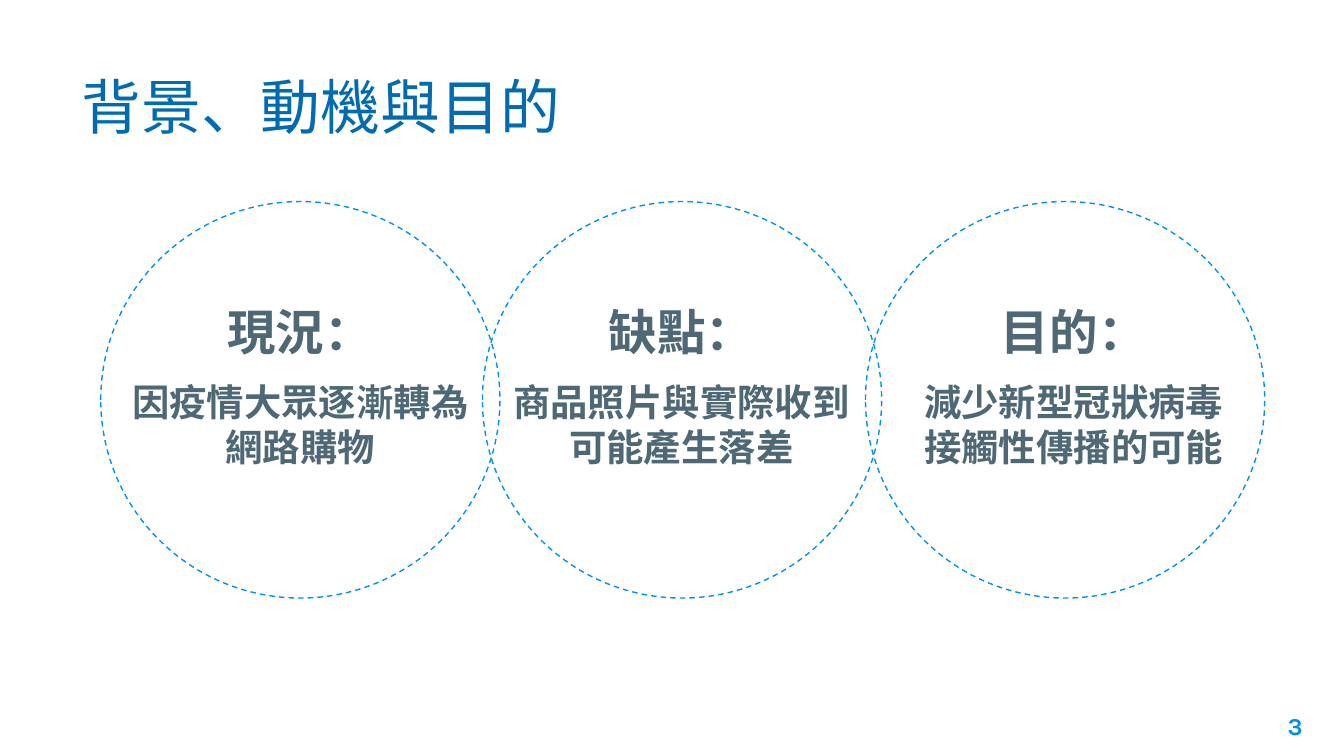
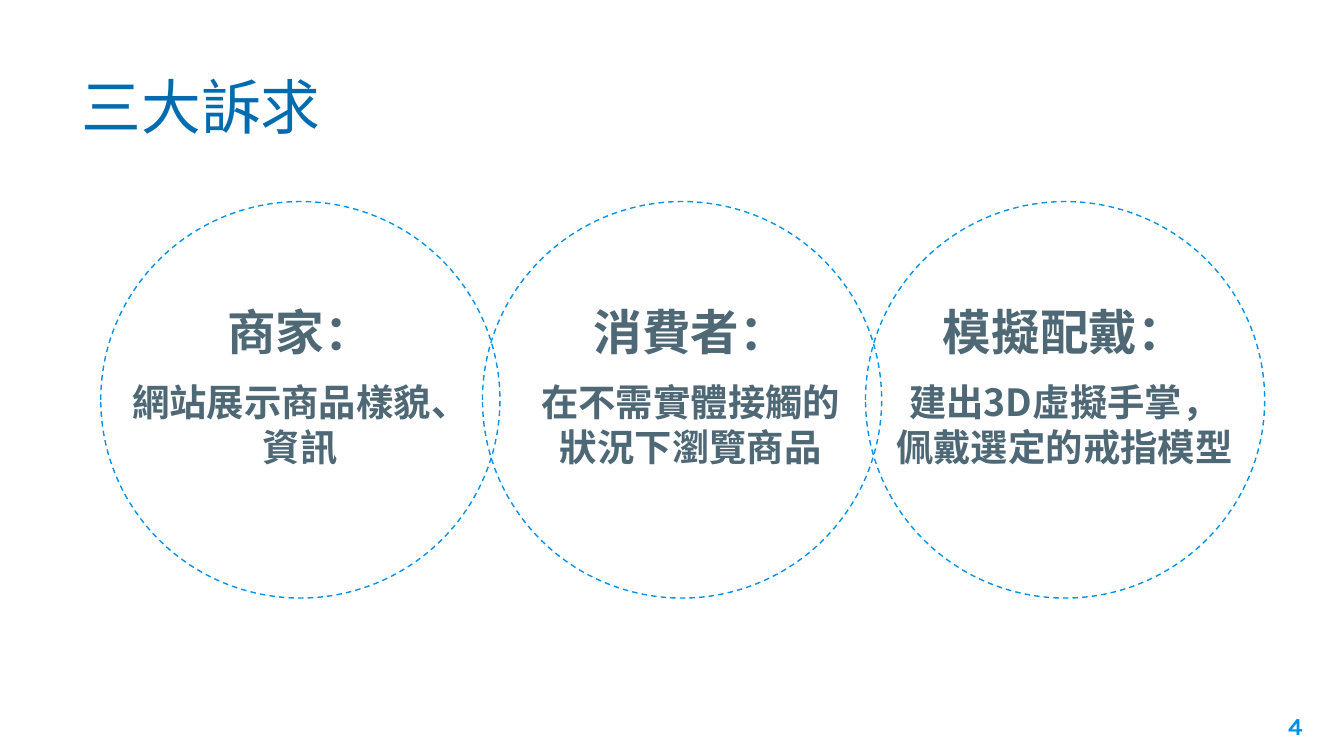
"""Builds two slides, each with a title and three overlapping dashed circles of text."""
from lxml import etree
from pptx import Presentation
from pptx import util as u
from pptx.dml.color import RGBColor
from pptx.enum import dml, shapes, text
from pptx.oxml.ns import qn

BLUE, TITLE_BLUE, SLATE = "0091EA", "006CAF", "4E6876"
CJK, LATIN = "Noto Sans CJK TC", "Karla"
CIRCLE_LEFTS = (0.75, 3.59, 6.44)
CIRCLE_TOP, CIRCLE_WIDTH, CIRCLE_HEIGHT = 1.5, 2.97, 2.95
TOPIC_TOP, TOPIC_HEIGHT = 2.15, 1.45

SLIDES = [
    {
        "number": 3,
        "title": "背景、動機與目的",
        "topics": [
            (0.37, 3.73, "現況：", ["因疫情大眾逐漸轉為", "網路購物"]),
            (3.68, 2.78, "缺點：", ["商品照片與實際收到可能產生落差"]),
            (6.35, 3.28, "目的：", ["減少新型冠狀病毒", "接觸性傳播的可能"]),
        ],
    },
    {
        "number": 4,
        "title": "三大訴求",
        "topics": [
            (0.37, 3.73, "商家：", ["網站展示商品樣貌、", "資訊"]),
            (3.5, 3.28, "消費者：", ["在不需實體接觸的", "狀況下瀏覽商品"]),
            (6.28, 3.28, "模擬配戴：", ["建出3D虛擬手掌，", "佩戴選定的戒指模型"]),
        ],
    },
]


def color(value):
    return RGBColor.from_string(value)


def add_text(slide, box, lines, ink, face=CJK, bold=False,
             align=text.PP_ALIGN.LEFT, anchor=text.MSO_ANCHOR.TOP):
    frame = slide.shapes.add_textbox(*map(u.Inches, box)).text_frame
    frame.word_wrap = True
    frame.vertical_anchor = anchor
    frame.margin_left = frame.margin_right = u.Inches(0.1)
    frame.margin_top = frame.margin_bottom = u.Inches(0.1)
    for index, (words, size, space) in enumerate(lines):
        line = frame.add_paragraph() if index else frame.paragraphs[0]
        line.text = words
        line.alignment = align
        line.space_before = u.Pt(space)
        line.font.size = u.Pt(size)
        line.font.bold = bold
        line.font.color.rgb = color(ink)
        line.font.name = face
        defaults = line._p.pPr.find(qn("a:defRPr"))
        etree.SubElement(defaults, qn("a:ea"), typeface=face)


def add_circle(slide, left):
    circle = slide.shapes.add_shape(
        shapes.MSO_SHAPE.OVAL, u.Inches(left), u.Inches(CIRCLE_TOP),
        u.Inches(CIRCLE_WIDTH), u.Inches(CIRCLE_HEIGHT))
    circle.shadow.inherit = False
    circle.fill.background()
    circle.line.color.rgb = color(BLUE)
    circle.line.width = u.Pt(0.75)
    circle.line.dash_style = dml.MSO_LINE.DASH


def add_topic(slide, left, width, heading, details):
    lines = [(heading, 26, 0)]
    lines += [(detail, 20, 0 if index else 10) for index, detail in enumerate(details)]
    add_text(slide, (left, TOPIC_TOP, width, TOPIC_HEIGHT), lines, SLATE,
             bold=True, align=text.PP_ALIGN.CENTER)


def build_slide(deck, content):
    slide = deck.slides.add_slide(deck.slide_layouts[6])
    for left in CIRCLE_LEFTS:
        add_circle(slide, left)
    add_text(slide, (9.19, 5.19, 0.6, 0.43), [(str(content["number"]), 13, 0)],
             BLUE, LATIN, bold=True, align=text.PP_ALIGN.RIGHT)
    add_text(slide, (0.51, 0.38, 8.28, 0.77), [(content["title"], 32, 0)],
             TITLE_BLUE, anchor=text.MSO_ANCHOR.BOTTOM)
    for topic in content["topics"]:
        add_topic(slide, *topic)


def main():
    deck = Presentation()
    deck.slide_width = u.Inches(10)
    deck.slide_height = deck.slide_width * 9 // 16
    for content in SLIDES:
        build_slide(deck, content)
    deck.save("out.pptx")


if __name__ == "__main__":
    main()
